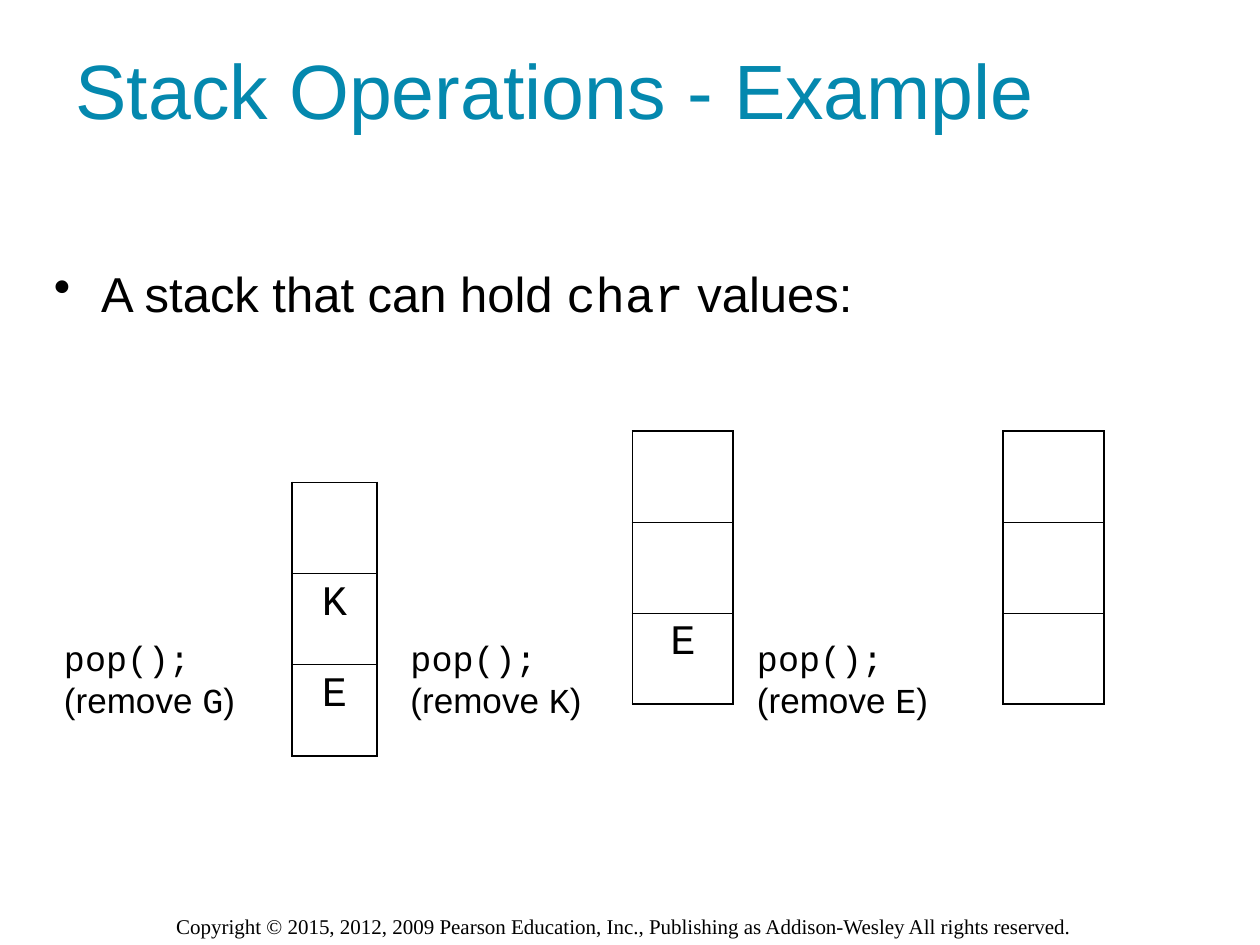
"""Build the slide that shows three pop operations on a stack of characters."""
import pptx
import pptx.dml.color
import pptx.enum.text
import pptx.oxml
import pptx.oxml.ns
import pptx.util

Pt = pptx.util.Pt
COLORS = {"title": "0488AE", "text": "000000"}
SANS, MONO, SERIF = "Arial", "Courier New", "Times New Roman"
ROW_HEIGHT = 52.08
OUTER_LINE, INNER_LINE = 1.08, 0.45


def style_font(font, name, size, color="text"):
    """Set typeface, size and colour of a font."""
    font.name = name
    font.size = Pt(size)
    font.color.rgb = pptx.dml.color.RGBColor.from_string(COLORS[color])


def add_spans(para, spans, size):
    """Fill a paragraph with (text, typeface) spans."""
    for text, name in spans:
        span = para.add_run()
        span.text = text
        style_font(span.font, name, size)


def add_box(page, left, top, width, height, wrap=True):
    """Add a text box and return its text frame."""
    frame = page.shapes.add_textbox(Pt(left), Pt(top), Pt(width), Pt(height)).text_frame
    frame.word_wrap = wrap
    return frame


def add_title(page, text):
    """Place and format the title placeholder."""
    title = page.shapes.title
    title.left, title.top, title.width, title.height = Pt(36), Pt(5.76), Pt(600), Pt(90)
    title.text_frame.text = text
    title.text_frame.vertical_anchor = pptx.enum.text.MSO_ANCHOR.MIDDLE
    para = title.text_frame.paragraphs[0]
    para.alignment = pptx.enum.text.PP_ALIGN.LEFT
    style_font(para.font, SANS, 44, "title")


def add_bullet(page, spans):
    """Add the bulleted statement."""
    frame = add_box(page, 23.76, 144, 646.56, 360)
    frame.margin_top = Pt(6.5)
    para = frame.paragraphs[0]
    properties = para._p.get_or_add_pPr()
    properties.set("marL", str(Pt(27)))
    properties.set("indent", str(Pt(-27)))
    bullet = pptx.oxml.parse_xml(f'<a:buChar {pptx.oxml.ns.nsdecls("a")} char="•"/>')
    properties.append(bullet)
    add_spans(para, spans, 28)


def set_borders(cell, top, bottom):
    """Draw the four borders of a cell."""
    widths = {"L": OUTER_LINE, "R": OUTER_LINE, "T": top, "B": bottom}
    properties = cell._tc.get_or_add_tcPr()
    for index, (side, width) in enumerate(widths.items()):
        border = pptx.oxml.parse_xml(
            f'<a:ln{side} {pptx.oxml.ns.nsdecls("a")} w="{Pt(width)}"><a:solidFill>'
            f'<a:srgbClr val="{COLORS["text"]}"/></a:solidFill></a:ln{side}>')
        properties.insert(index, border)


def add_stack(page, left, top, width, values):
    """Add a one-column table with the stack values from top to bottom."""
    count = len(values)
    frame = page.shapes.add_table(
        count, 1, Pt(left), Pt(top), Pt(width), Pt(ROW_HEIGHT * count))
    table = frame.table
    table.first_row = table.horz_banding = False
    for index, value in enumerate(values):
        table.rows[index].height = Pt(ROW_HEIGHT)
        cell = table.cell(index, 0)
        cell.fill.background()
        set_borders(cell, OUTER_LINE if index == 0 else INNER_LINE,
                    OUTER_LINE if index == count - 1 else INNER_LINE)
        cell.text = value
        para = cell.text_frame.paragraphs[0]
        para.alignment = pptx.enum.text.PP_ALIGN.CENTER
        style_font(para.font, MONO, 24)


def add_pop(page, left, top, value):
    """Add the label of a pop call and the value that it removes."""
    frame = add_box(page, left, top, 112.32, 55.44, wrap=False)
    add_spans(frame.paragraphs[0], [("pop();", MONO)], 20)
    add_spans(frame.add_paragraph(), [("(remove ", SANS), (value, MONO), (")", SANS)], 20)


def add_copyright(page, text):
    """Add the copyright line at the foot."""
    para = add_box(page, 93.6, 518.4, 534.24, 21.6).paragraphs[0]
    para.text = text
    style_font(para.font, SERIF, 12)


def main():
    """Build and save the deck."""
    deck = pptx.Presentation()
    deck.slide_width, deck.slide_height = Pt(720), Pt(540)
    page = deck.slides.add_slide(deck.slide_layouts[5])
    add_copyright(page, "Copyright © 2015, 2012, 2009 Pearson Education, Inc., "
                        "Publishing as Addison-Wesley All rights reserved.")
    add_title(page, "Stack Operations - Example")
    add_bullet(page, [("A stack that can hold ", SANS), ("char", MONO), (" values:", SANS)])
    for left, top, width, values in [
        (361.44, 246.24, 57.6, ["", "", "E"]),
        (573.12, 246.24, 57.6, ["", "", ""]),
        (167.04, 275.76, 48.24, ["", "K", "E"]),
    ]:
        add_stack(page, left, top, width, values)
    for index, value in enumerate("GKE"):
        add_pop(page, 29.52 + 198 * index, 360, value)
    deck.save("out.pptx")


if __name__ == "__main__":
    main()
